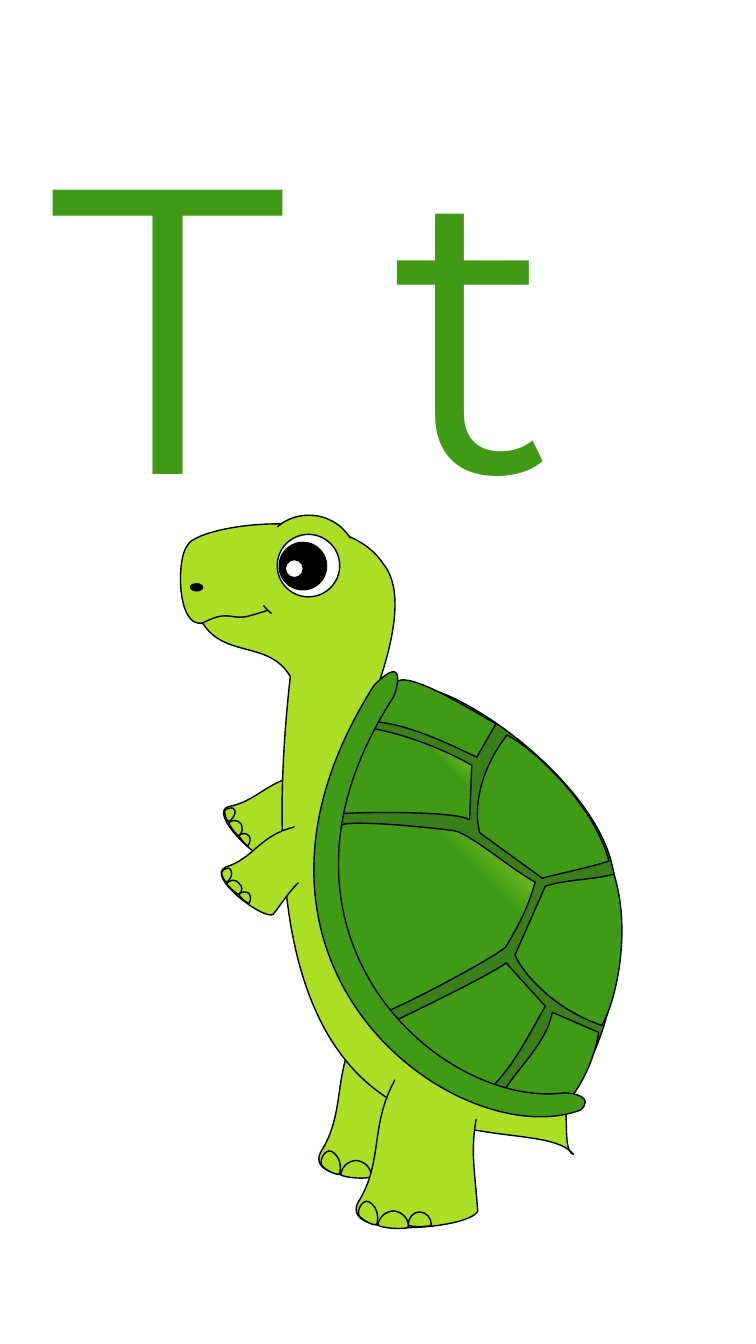
"""Alphabet card: the letter T with a turtle standing below it."""
from pptx import Presentation
from pptx import util as u
from pptx.dml.color import RGBColor
from pptx.enum import shapes
from pptx.oxml import ns
from lxml import etree

LIME = RGBColor(0xAB, 0xDF, 0x25)
GREEN = RGBColor(0x3F, 0x9B, 0x16)
SEAM = RGBColor(0x3A, 0x80, 0x1A)
BLACK = RGBColor(0, 0, 0)
WHITE = RGBColor(0xFF, 0xFF, 0xFF)
GLOW = (LIME, GREEN)
FRONT_LEG_SHIFT = (0.37, 0.5)

LEG = [
    [(3.56, 10.19), (3.96, 9.57, 4.09, 9.85, 4.52, 9.73), (4.52, 9.91),
     (4.26, 10.84, 4.32, 10.86, 4.37, 11.51), (4.31, 11.69, 3, 11.8, 3.18, 11.43),
     (3.44, 11.02, 3.29, 10.66, 3.56, 10.19)],
    [(3.68, 11.65), (3.68, 11.58, 3.73, 11.52, 3.79, 11.52),
     (3.86, 11.52, 3.91, 11.58, 3.91, 11.65), (3.89, 11.67, 3.69, 11.67, 3.68, 11.65)],
    [(3.38, 11.65), (3.39, 11.57, 3.46, 11.51, 3.54, 11.51),
     (3.62, 11.52, 3.69, 11.59, 3.68, 11.67), (3.65, 11.7, 3.4, 11.68, 3.38, 11.65)],
    [(3.19, 11.55), (3.17, 11.51, 3.22, 11.39, 3.29, 11.42),
     (3.36, 11.46, 3.39, 11.54, 3.37, 11.64), (3.35, 11.67, 3.2, 11.59, 3.19, 11.55)],
]
BACK_ARM = [
    [(2.94, 7.7), (3.35, 7.63, 3.28, 7.79, 3.49, 7.93), (3.41, 8),
     (2.92, 8.23, 2.94, 8.26, 2.68, 8.52), (2.59, 8.57, 2.05, 8.06, 2.27, 8),
     (2.54, 7.95, 2.64, 7.76, 2.94, 7.7)],
    [(2.37, 8.29), (2.4, 8.26, 2.44, 8.26, 2.47, 8.29),
     (2.49, 8.32, 2.48, 8.36, 2.46, 8.39), (2.44, 8.39, 2.37, 8.3, 2.37, 8.29)],
    [(2.27, 8.16), (2.3, 8.13, 2.36, 8.13, 2.39, 8.17),
     (2.41, 8.21, 2.41, 8.26, 2.37, 8.29), (2.35, 8.29, 2.27, 8.18, 2.27, 8.16)],
    [(2.23, 8.04), (2.24, 8.02, 2.32, 7.99, 2.33, 8.04),
     (2.34, 8.08, 2.31, 8.12, 2.27, 8.15), (2.25, 8.15, 2.22, 8.06, 2.23, 8.04)],
]
FRONT_ARM = [
    [(2.86, 8.22), (3.26, 8.1, 3.21, 8.27, 3.44, 8.38), (3.37, 8.46),
     (2.91, 8.75, 2.93, 8.78, 2.71, 9.07), (2.62, 9.13, 2.03, 8.69, 2.24, 8.6),
     (2.5, 8.52, 2.57, 8.31, 2.86, 8.22)],
    [(2.37, 8.87), (2.4, 8.84, 2.44, 8.84, 2.47, 8.86),
     (2.49, 8.89, 2.49, 8.93, 2.47, 8.96), (2.45, 8.96, 2.37, 8.89, 2.37, 8.87)],
    [(2.25, 8.76), (2.29, 8.72, 2.34, 8.72, 2.37, 8.76),
     (2.41, 8.79, 2.41, 8.84, 2.37, 8.87), (2.35, 8.87, 2.25, 8.78, 2.25, 8.76)],
    [(2.2, 8.65), (2.21, 8.62, 2.28, 8.59, 2.29, 8.63),
     (2.31, 8.67, 2.29, 8.72, 2.25, 8.75), (2.23, 8.75, 2.19, 8.67, 2.2, 8.65)],
]
BODY = [
    (1.86, 5.41), (1.94, 5.21, 3.41, 4.98, 3.8, 5.59), (3.95, 5.77, 3.98, 6.12, 3.76, 6.77),
    (3.07, 8.72, 5.09, 9.15, 5.41, 9.93), (5.74, 10.71, 5.53, 11.41, 5.69, 11.45),
    (5.27, 10.91, 2.27, 12.17, 2.88, 6.71), (2.67, 6.35, 2.23, 6.53, 2.01, 6.18),
    (1.75, 6.23, 1.75, 5.53, 1.86, 5.41)]
MOUTH = [
    (2.01, 6.18), (2.07, 6.15, 2.13, 6.12, 2.2, 6.11), (2.27, 6.1, 2.34, 6.13, 2.42, 6.12),
    (2.49, 6.11, 2.6, 6.07, 2.64, 6.06), (2.65, 6.05)]
SHELL = [
    (4.05, 6.82), (4.41, 6.71, 5.81, 7.64, 6.06, 8.53), (6.3, 9.42, 5.97, 10.52, 5.65, 10.82),
    (5.01, 11.12, 3.85, 10.63, 3.44, 9.34), (3.03, 8.05, 3.68, 6.92, 4.05, 6.82)]
PLATES = [
    (GLOW, [(5.03, 7.29), (5.31, 7.43, 5.91, 8.01, 6.04, 8.54),
            (5.83, 8.61, 5.6, 8.65, 5.38, 8.71), (4.76, 8.26),
            (4.72, 8.13, 4.69, 7.73, 5.03, 7.29)]),
    (GREEN, [(5.97, 10.17), (6.13, 9.9, 6.26, 9.19, 6.09, 8.67),
             (5.87, 8.73, 5.62, 8.72, 5.41, 8.79), (5.11, 9.47),
             (5.15, 9.59, 5.44, 9.99, 5.97, 10.17)]),
    (GLOW, [(3.94, 6.76), (4.06, 6.66, 4.66, 7.03, 4.92, 7.18), (4.73, 7.51),
            (4.44, 7.37, 4.06, 7.19, 3.74, 7.16), (3.76, 7.1, 3.74, 6.9, 3.94, 6.76)]),
    (GLOW, [(3.72, 7.23), (4.04, 7.29, 4.42, 7.44, 4.68, 7.59), (4.66, 8.13),
            (4.53, 8.05, 3.7, 8.05, 3.4, 8.07), (3.38, 8.01, 3.51, 7.36, 3.72, 7.23)]),
    (GLOW, [(5.02, 9.39), (5.18, 9.12, 5.24, 8.99, 5.31, 8.75),
            (5.07, 8.62, 4.68, 8.28, 4.51, 8.24), (4.36, 8.22, 3.4, 8.11, 3.36, 8.2),
            (3.28, 8.77, 3.35, 9.45, 3.8, 10.04), (3.82, 10.07, 4.9, 9.51, 5.02, 9.39)]),
    (GREEN, [(4.85, 10.81), (5.09, 10.59, 5.26, 10.24, 5.41, 9.98), (5.02, 9.55),
             (4.9, 9.65, 4.2, 9.99, 3.93, 10.12), (3.95, 10.19, 4.6, 10.79, 4.85, 10.81)]),
    (GREEN, [(5.67, 10.88), (5.76, 10.76, 5.89, 10.54, 5.94, 10.24), (5.48, 10.04),
             (5.41, 10.36, 5.17, 10.55, 5, 10.82), (5.06, 10.84, 5.43, 10.95, 5.67, 10.88)]),
]
RIM = [
    (3.71, 6.8), (4.04, 6.46, 3.94, 6.85, 3.9, 6.92), (2.4, 9.24, 4.36, 11, 5.6, 10.84),
    (5.69, 10.84, 5.9, 10.88, 5.76, 11.01), (4.56, 11.46, 1.94, 9.59, 3.71, 6.8)]

prs = Presentation()
prs.slide_width, prs.slide_height = u.Inches(7.5), u.Inches(13.33)
slide = prs.slides.add_slide(prs.slide_layouts[6])


def paint(part, fill, outlined=True):
    part.shadow.inherit = False
    if fill is None:
        part.fill.background()
    elif fill is GLOW:
        part.fill.gradient()
        part.fill.gradient_angle = 225
        for stop, color, position in zip(part.fill.gradient_stops, GLOW, (0, 0.28)):
            stop.color.rgb, stop.position = color, position
    else:
        part.fill.solid()
        part.fill.fore_color.rgb = fill
    if outlined:
        part.line.color.rgb = BLACK
        part.line.width = u.Pt(1)
    else:
        part.line.fill.background()


def bend(part, outline):
    lines = iter(list(part._element.iter(ns.qn("a:lnTo"))))
    for segment in outline[1:]:
        first = next(lines)
        if len(segment) == 6:
            curve = etree.Element(ns.qn("a:cubicBezTo"))
            first.addprevious(curve)
            for line in (first, next(lines), next(lines)):
                curve.append(line[0])
                line.getparent().remove(line)


def draw(outline, fill, shift=(0, 0), closed=True):
    points = [(u.Inches(segment[i] + shift[0]), u.Inches(segment[i + 1] + shift[1]))
              for segment in outline for i in range(0, len(segment), 2)]
    builder = slide.shapes.build_freeform(*points[0])
    builder.add_line_segments(points[1:], close=closed)
    part = builder.convert_to_shape()
    bend(part, outline)
    paint(part, fill)


def draw_limb(limb, shift=(0, 0)):
    for outline in limb:
        draw(outline, LIME, shift)


def preset(kind, box, fill, rotation=0, outlined=True, angles=()):
    part = slide.shapes.add_shape(kind, *map(u.Inches, box))
    part.rotation = rotation
    for index, degrees in enumerate(angles):
        part.adjustments[index] = degrees * 0.6
    paint(part, fill, outlined)


OVAL, ARC = shapes.MSO_SHAPE.OVAL, shapes.MSO_SHAPE.ARC

letters = slide.shapes.add_textbox(*map(u.Inches, (0.41, 0.63, 7.93, 4.98)))
letters.text_frame.word_wrap = True
letters.text_frame.text = "T t"
glyphs = letters.text_frame.paragraphs[0].runs[0].font
glyphs.name, glyphs.size = "Montserrat", u.Pt(290)
glyphs.color.rgb = GREEN

draw_limb(BACK_ARM)
draw_limb(LEG)
draw(BODY, LIME)
preset(ARC, (2.58, 5.11, 0.97, 0.97), LIME, 325.8, angles=(263.9, 2.48))
preset(OVAL, (2.75, 5.3, 0.62, 0.62), WHITE)
preset(OVAL, (1.89, 5.79, 0.12, 0.07), BLACK)
draw(MOUTH, None, closed=False)
preset(ARC, (2.56, 5.52, 0.62, 0.62), None, 145.7, angles=(338.75, 0))
draw_limb(LEG, FRONT_LEG_SHIFT)
preset(OVAL, (2.77, 5.38, 0.47, 0.47), BLACK)
draw_limb(FRONT_ARM)
preset(OVAL, (2.83, 8.1, 0.62, 0.72), LIME, outlined=False)
preset(OVAL, (4.07, 10.21, 0.62, 1.07), LIME, 298.3, outlined=False)
draw(SHELL, SEAM)
for plate_fill, plate in PLATES:
    draw(plate, plate_fill)
draw(RIM, GREEN)
preset(OVAL, (2.83, 5.55, 0.18, 0.18), WHITE)

prs.save("out.pptx")
